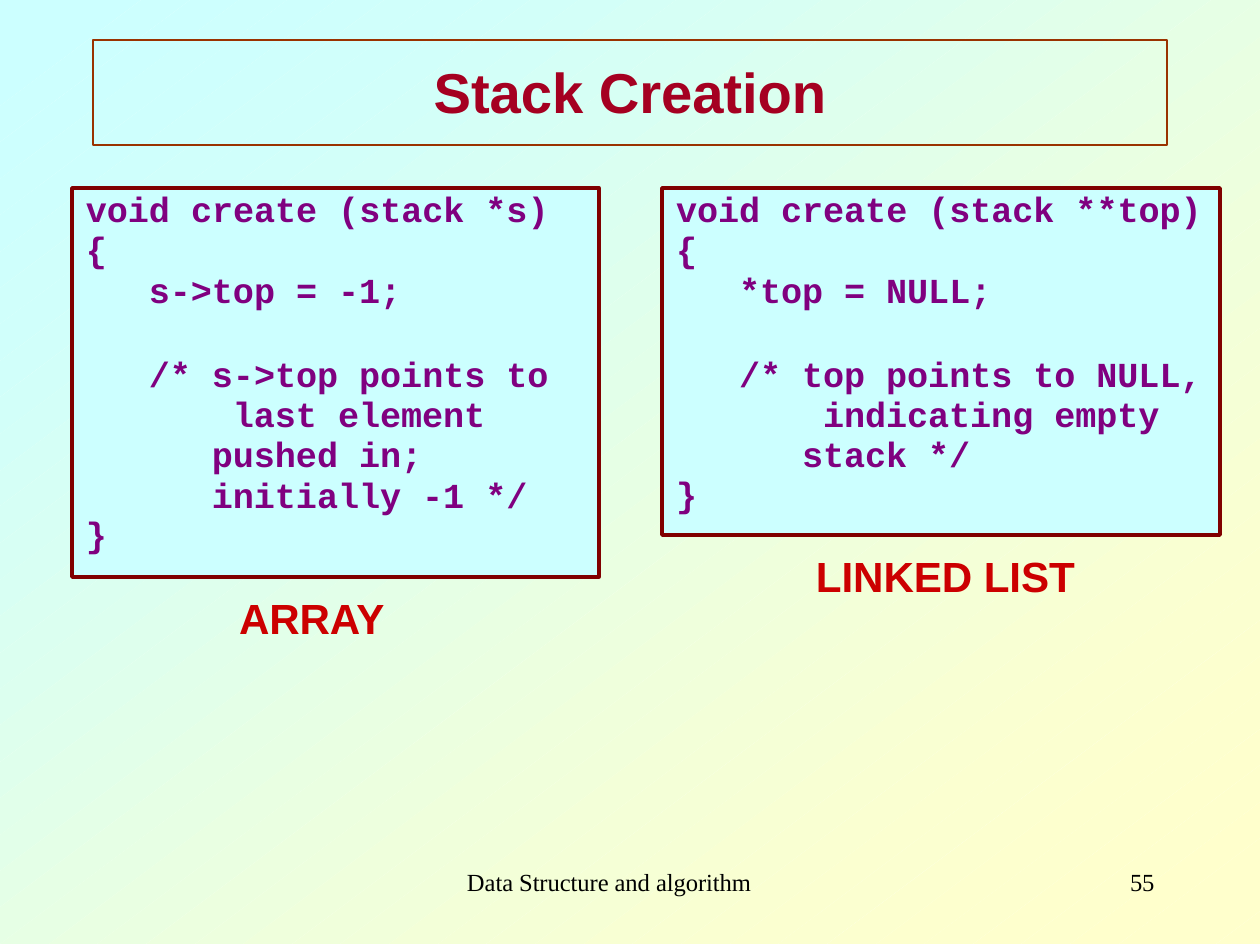
from dataclasses import dataclass
from itertools import pairwise
from math import cos, pi

from lxml import etree
from pptx import Presentation
from pptx.dml.color import RGBColor
from pptx.enum.shapes import MSO_SHAPE
from pptx.enum.text import MSO_ANCHOR, PP_ALIGN
from pptx.shapes.autoshape import Shape
from pptx.slide import Slide
from pptx.text.text import TextFrame
from pptx.util import Emu, Pt

RECTANGLE = MSO_SHAPE.RECTANGLE
TOP = MSO_ANCHOR.TOP
LEFT, CENTER = PP_ALIGN.LEFT, PP_ALIGN.CENTER

EMU_PER_PX = 7234
WIDTH, HEIGHT = 1260, 944
BAND_STEP = 48.64
BAND_STEPS = 48
CODE_INDENT = 63


@dataclass(frozen=True)
class Area:
    left: int
    top: int
    width: int
    height: int


@dataclass(frozen=True)
class CodeLine:
    text: str
    margin: int = 0
    indent: int = 0
    before: float = 0
    spacing: float = 22.9


@dataclass(frozen=True)
class Listing:
    area: Area
    signature: str
    statement: str
    remark: str
    caption: str
    caption_area: Area


LISTINGS = [
    Listing(
        Area(72, 188, 527, 389),
        "void create (stack *s)",
        "s->top = -1;",
        "/* s->top points to\n last element\npushed in;\ninitially -1 */",
        "ARRAY",
        Area(239, 592, 154, 54),
    ),
    Listing(
        Area(662, 188, 558, 347),
        "void create (stack **top)",
        "*top = NULL;",
        "/* top points to NULL,\n indicating empty\nstack */",
        "LINKED LIST",
        Area(816, 550, 263, 54),
    ),
]


def px(length: int) -> Emu:
    return Emu(length * EMU_PER_PX)


def color(value: str) -> RGBColor:
    return RGBColor.from_string(value)


def diagonal(reach: int) -> tuple[tuple[int, int], tuple[int, int]]:
    drop = round(reach * HEIGHT / WIDTH)
    if reach <= WIDTH:
        return (reach, 0), (0, drop)
    return (WIDTH, drop - HEIGHT), (reach - WIDTH, HEIGHT)


def band_color(index: int) -> str:
    share = min(1, (index + 1) / BAND_STEPS)
    shift = round(51 * (0.4 * (1 - cos(pi * share)) + 0.2 * share))
    return f"{204 + shift:02X}FF{255 - shift:02X}"


def paint_background(page: Slide) -> None:
    steps = [*range(-23, 24), 25]
    inner = [WIDTH + round(step * BAND_STEP) for step in steps]
    for index, (near, far) in enumerate(pairwise([0, *inner, 2 * WIDTH])):
        near_right, near_left = diagonal(near)
        far_right, far_left = diagonal(far)
        builder = page.shapes.build_freeform(*near_right, scale=EMU_PER_PX)
        builder.add_line_segments([far_right, far_left, near_left], close=True)
        band = builder.convert_to_shape()
        band.shadow.inherit = False
        band.fill.solid()
        band.fill.fore_color.rgb = color(band_color(index))
        band.line.fill.background()


def prepare_frame(box: Shape, left: int = 0, top: int = 0) -> TextFrame:
    frame = box.text_frame
    frame.word_wrap = True
    frame.vertical_anchor = TOP
    frame.margin_left, frame.margin_top = px(left), px(top)
    frame.margin_right = frame.margin_bottom = 0
    return frame


def add_panel(page: Slide, area: Area, line: str, weight: float, fill: str = "") -> Shape:
    box = page.shapes.add_shape(
        RECTANGLE, px(area.left), px(area.top), px(area.width), px(area.height)
    )
    box.shadow.inherit = False
    if fill:
        box.fill.solid()
        box.fill.fore_color.rgb = color(fill)
    else:
        box.fill.background()
    box.line.color.rgb = color(line)
    box.line.width = Pt(weight)
    return box


def write(
    frame: TextFrame,
    text: str,
    *,
    size: float,
    font: str,
    ink: str,
    bold: bool = False,
    align: PP_ALIGN = LEFT,
    margin: int = 0,
    indent: int = 0,
    before: float = 0,
    spacing: float = 0,
) -> None:
    para = frame.paragraphs[0] if not frame.text else frame.add_paragraph()
    para.text = text
    para.alignment = align
    if before:
        para.space_before = Pt(before)
    if spacing:
        para.line_spacing = Pt(spacing)
    if margin:
        properties = para._p.get_or_add_pPr()
        properties.set("marL", str(px(margin)))
        properties.set("indent", str(px(indent)))
    for span in para.runs:
        span.font.size = Pt(size)
        span.font.name = font
        span.font.bold = bold
        span.font.color.rgb = color(ink)
        span._r.get_or_add_rPr().set("spc", "-5")


def add_label(page: Slide, area: Area, text: str, **text_format) -> None:
    box = page.shapes.add_textbox(
        px(area.left), px(area.top), px(area.width), px(area.height)
    )
    write(prepare_frame(box), text, **text_format)


def add_listing(page: Slide, listing: Listing) -> None:
    box = add_panel(page, listing.area, "800000", 1.98, "CCFFFF")
    frame = prepare_frame(box, left=14)
    lines = [
        CodeLine(listing.signature, spacing=23.4),
        CodeLine("{"),
        CodeLine(listing.statement, margin=CODE_INDENT, spacing=23.4),
        CodeLine(listing.remark, margin=2 * CODE_INDENT, indent=-CODE_INDENT, before=25),
        CodeLine("}", spacing=22.6),
    ]
    for line in lines:
        write(
            frame, line.text, size=20, font="Courier New", ink="800080", bold=True,
            margin=line.margin, indent=line.indent,
            before=line.before, spacing=line.spacing,
        )
    add_label(
        page, listing.caption_area, listing.caption,
        size=24, font="Arial", ink="CC0000", bold=True,
    )


def main() -> None:
    deck = Presentation()
    deck.slide_width, deck.slide_height = px(WIDTH), px(HEIGHT)
    page = deck.slides.add_slide(deck.slide_layouts[6])
    paint_background(page)
    title = add_panel(page, Area(93, 40, 1074, 105), "9A3300", 0.72)
    write(
        prepare_frame(title, top=17), "Stack Creation",
        size=32, font="Arial", ink="A50021", bold=True, align=CENTER,
    )
    for listing in LISTINGS:
        add_listing(page, listing)
    footers = [
        ("Data Structure and algorithm", Area(467, 868, 329, 30)),
        ("55", Area(1130, 868, 35, 30)),
    ]
    for text, area in footers:
        add_label(
            page, area, text, size=14, font="Times New Roman", ink="000000", spacing=16.2
        )
    deck.save("out.pptx")


if __name__ == "__main__":
    main()
